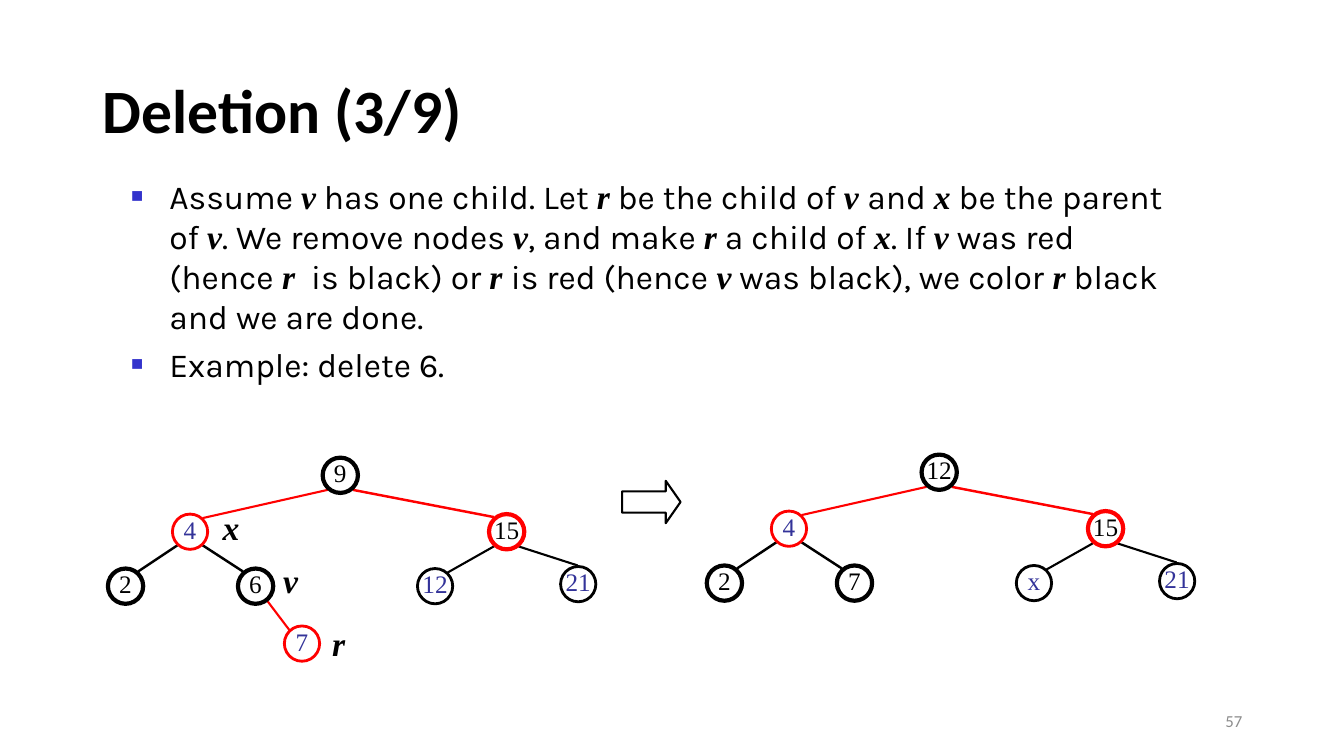
from dataclasses import dataclass
from typing import Any

from lxml import etree
from pptx import Presentation
from pptx.dml.color import RGBColor
from pptx.enum import shapes, text
from pptx.oxml.ns import qn
from pptx.util import Inches, Pt

HUES = {"black": "000000", "red": "FF0000", "white": "FFFFFF",
        "navy": "333399", "blue": "3333CC", "grey": "8C8C8C"}
SERIF, SANS = "Times New Roman", "Karla"
SIZE = 0.35  # node diameter
MID, LEFT, RIGHT = text.PP_ALIGN.CENTER, text.PP_ALIGN.LEFT, text.PP_ALIGN.RIGHT


@dataclass
class Node:
    x: float
    y: float
    ring: str
    width: float
    ink: str


@dataclass
class Edge:
    x1: float
    y1: float
    x2: float
    y2: float
    hue: str
    width: float


@dataclass
class Label:
    words: str
    x: float
    y: float
    w: float
    h: float
    align: Any
    frame: dict
    font: dict
    hue: str


# Tree layout: top, left subtree, right subtree
NODES = [
    Node(3.2, 4.54, "black", 3, "black"),
    Node(1.71, 5.1, "red", 2, "navy"),
    Node(4.85, 5.1, "red", 3, "black"),
    Node(1.07, 5.64, "black", 3, "black"),
    Node(2.36, 5.64, "black", 3, "black"),
    Node(4.14, 5.64, "black", 2, "navy"),
    Node(5.56, 5.62, "black", 2, "navy"),
]
EDGES = [
    Edge(3.25, 4.86, 2.01, 5.14, "red", 1.5),
    Edge(4.9, 5.13, 3.5, 4.86, "red", 1.75),
    Edge(5.73, 5.61, 5.14, 5.42, "black", 1.5),
    Edge(4.44, 5.68, 4.9, 5.42, "black", 1.5),
    Edge(1.37, 5.67, 1.76, 5.41, "black", 1.75),
    Edge(2.41, 5.67, 2.01, 5.41, "black", 1.75),
]
CHILD = Node(2.82, 6.21, "red", 2, "navy")
LINK = Edge(2.87, 6.25, 2.65, 5.96, "red", 1.5)
BEFORE = ["9", "4", "15", "2", "6", "12", "21"]
AFTER = ["12", "4", "15", "2", "7", "x", "21"]
SHIFT = (5.94, -0.03)

# Asterisks enclose the variables
POINTS = [
    "Assume *v* has one child. Let *r* be the child of *v *and *x* be the parent "
    "of *v*. We remove nodes *v*, and make *r* a child of *x*. If *v* was red "
    "(hence* r*  is black) or *r *is red (hence* v* was black), we color* r* "
    "black and we are done.",
    "Example: delete 6.",
]

FIXED = {"word_wrap": True, "auto_size": text.MSO_AUTO_SIZE.NONE}
GROW = {"word_wrap": True, "auto_size": text.MSO_AUTO_SIZE.SHAPE_TO_FIT_TEXT}
CENTRED = FIXED | {"vertical_anchor": text.MSO_ANCHOR.MIDDLE}
INNER = {"word_wrap": False, "vertical_anchor": text.MSO_ANCHOR.MIDDLE,
         "margin_left": 0, "margin_right": 0, "margin_top": 0,
         "margin_bottom": Inches(0.05)}
DIGIT = {"name": SERIF, "size": Pt(18)}
PLAIN = {"name": SANS, "size": Pt(24), "bold": False, "italic": False}
SLANT = {"name": SERIF, "size": Pt(24), "bold": True, "italic": True}


def paint(hue: str) -> RGBColor:
    return RGBColor.from_string(HUES[hue])


def apply(item: Any, form: dict) -> None:
    for key, value in form.items():
        setattr(item, key, value)


def place(item: Any, x: float, y: float, w: float, h: float) -> None:
    apply(item, {"left": Inches(x), "top": Inches(y),
                 "width": Inches(w), "height": Inches(h)})


def write(para: Any, words: str, font: dict, hue: str) -> None:
    run = para.add_run()
    run.text = words
    apply(run.font, font)
    run.font.color.rgb = paint(hue)


def outline(item: Any, hue: str, width: float) -> None:
    item.line.color.rgb = paint(hue)
    item.line.width = Pt(width)


def draw_node(slide: Any, node: Node, words: str, dx: float, dy: float) -> None:
    ball = slide.shapes.add_shape(
        shapes.MSO_SHAPE.OVAL, Inches(node.x + dx), Inches(node.y + dy),
        Inches(SIZE), Inches(SIZE))
    ball.shadow.inherit = False
    ball.fill.solid()
    ball.fill.fore_color.rgb = paint("white")
    outline(ball, node.ring, node.width)
    apply(ball.text_frame, INNER)
    para = ball.text_frame.paragraphs[0]
    para.alignment = MID
    write(para, words, DIGIT, node.ink)


def draw_edge(slide: Any, edge: Edge, dx: float, dy: float) -> None:
    line = slide.shapes.add_connector(
        shapes.MSO_CONNECTOR.STRAIGHT, Inches(edge.x1 + dx), Inches(edge.y1 + dy),
        Inches(edge.x2 + dx), Inches(edge.y2 + dy))
    outline(line, edge.hue, edge.width)
    etree.SubElement(line._element.spPr, qn("a:effectLst"))


def draw_tree(slide: Any, words: list[str], dx: float, dy: float) -> None:
    for edge in EDGES:
        draw_edge(slide, edge, dx, dy)
    for node, word in zip(NODES, words):
        draw_node(slide, node, word, dx, dy)


def draw_label(slide: Any, label: Label) -> None:
    box = slide.shapes.add_textbox(0, 0, 0, 0)
    place(box, label.x, label.y, label.w, label.h)
    apply(box.text_frame, label.frame)
    para = box.text_frame.paragraphs[0]
    para.alignment = label.align
    write(para, label.words, label.font, label.hue)


def add_bullet(para: Any) -> None:
    props = para._p.get_or_add_pPr()
    props.set("marL", str(Inches(0.38)))
    props.set("indent", str(-Inches(0.38)))
    tint = etree.SubElement(props, qn("a:buClr"))
    etree.SubElement(tint, qn("a:srgbClr"), val=HUES["blue"])
    etree.SubElement(props, qn("a:buSzPct"), val="60000")
    etree.SubElement(props, qn("a:buFont"), typeface="Arial")
    etree.SubElement(props, qn("a:buChar"), char="■")


def main() -> None:
    deck = Presentation()
    apply(deck, {"slide_width": Inches(13.33), "slide_height": Inches(7.5)})
    slide = deck.slides.add_slide(deck.slide_layouts[1])

    # Title
    title = slide.shapes.title
    place(title, 0.92, 0.4, 11.5, 1.45)
    apply(title.text_frame, CENTRED)
    head = title.text_frame.paragraphs[0]
    apply(head, {"alignment": LEFT, "line_spacing": 0.9})
    write(head, "Deletion (3/9)",
          {"name": "Calibri", "size": Pt(44), "bold": True}, "black")

    # Bullet list
    body = slide.placeholders[1]
    place(body, 1.2, 1.69, 10.65, 2.21)
    apply(body.text_frame, FIXED)
    for i, point in enumerate(POINTS):
        para = body.text_frame.add_paragraph() if i else body.text_frame.paragraphs[0]
        add_bullet(para)
        para.space_before = Pt(4.8 if i else 0)
        for j, part in enumerate(point.split("*")):
            write(para, part, SLANT if j % 2 else PLAIN, "black")

    # Trees before and after the deletion
    draw_edge(slide, LINK, 0, 0)
    draw_tree(slide, BEFORE, 0, 0)
    draw_node(slide, CHILD, "7", 0, 0)
    draw_tree(slide, AFTER, *SHIFT)

    # Arrow between the trees
    arrow = slide.shapes.add_shape(shapes.MSO_SHAPE.RIGHT_ARROW, 0, 0, 0, 0)
    place(arrow, 6.17, 4.77, 0.58, 0.42)
    arrow.adjustments[1] = 0.35
    arrow.shadow.inherit = False
    arrow.fill.background()
    outline(arrow, "black", 1.5)

    # Node names and page number
    for name, x, y in [("v", 2.71, 5.51), ("x", 2.11, 4.98), ("r", 3.19, 6.13)]:
        draw_label(slide, Label(name, x, y, 0.34, 0.5, MID, GROW, SLANT, "black"))
    draw_label(slide, Label("57", 9.42, 6.95, 3, 0.4, RIGHT, CENTRED,
                            {"name": "Calibri", "size": Pt(12)}, "grey"))

    deck.save("out.pptx")


if __name__ == "__main__":
    main()
